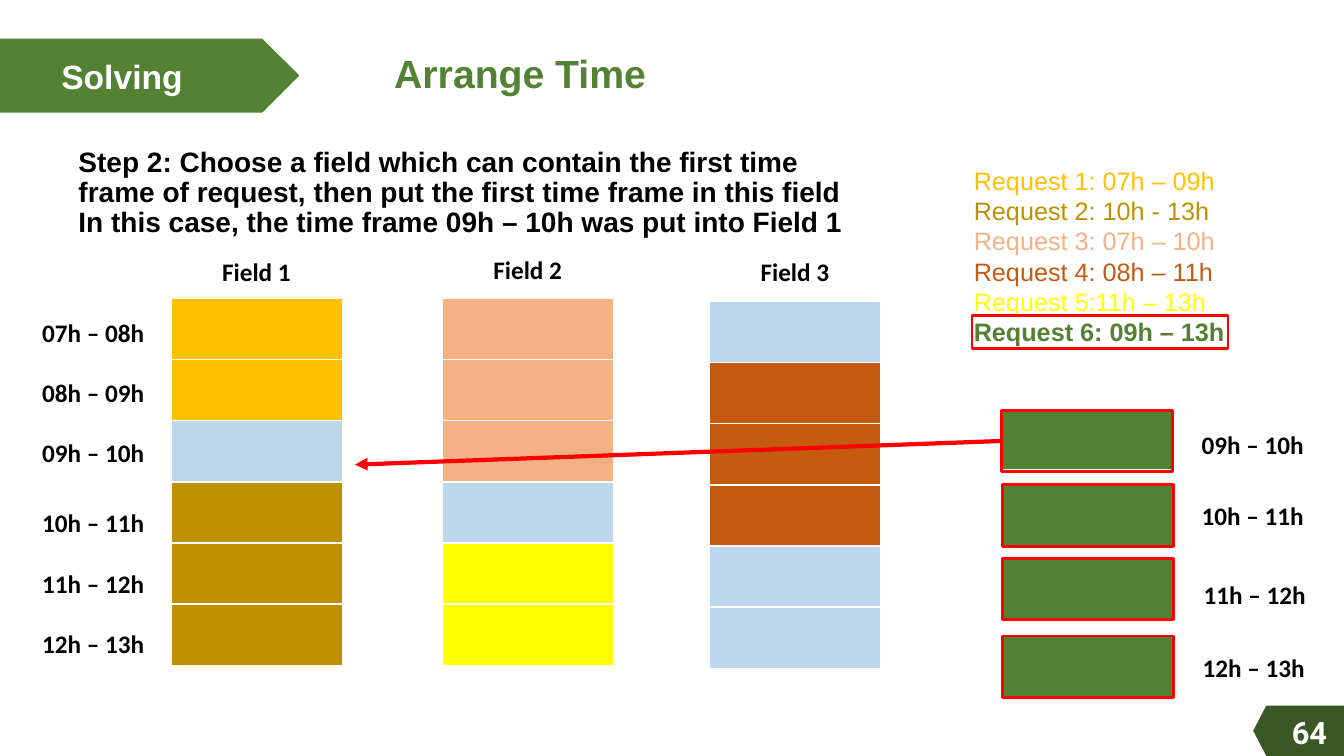
from lxml import etree
from pptx import Presentation
from pptx.dml.color import RGBColor as RGB
from pptx.enum.shapes import MSO_CONNECTOR as LINK, MSO_SHAPE as SHAPE
from pptx.enum.text import MSO_ANCHOR as ANCHOR, PP_ALIGN as ALIGN
from pptx.oxml.ns import qn
from pptx.util import Inches, Pt

WHITE = RGB(0xFF, 0xFF, 0xFF)
BLACK = RGB(0, 0, 0)
RED = RGB(0xFF, 0, 0)
GREEN = RGB(0x54, 0x82, 0x35)
DARK_GREEN = RGB(0x38, 0x57, 0x23)
AMBER = RGB(0xFF, 0xC0, 0)
GOLD = RGB(0xBF, 0x90, 0)
PEACH = RGB(0xF4, 0xB1, 0x83)
RUST = RGB(0xC5, 0x5A, 0x11)
YELLOW = RGB(0xFF, 0xFF, 0)
FREE = RGB(0xBD, 0xD7, 0xEE)

SECTION = "Solving"
TITLE = "Arrange Time"
STEP = ("Step 2: Choose a field which can contain the first time frame of request, "
        "then put the first time frame in this field\v"
        "In this case, the time frame 09h – 10h was put into Field 1")
PAGE = "64"
FIELDS = [
    ("Field 1", 1.7, 2.96, 2.49, [AMBER, AMBER, FREE, GOLD, GOLD, GOLD]),
    ("Field 2", 4.39, 2.96, 2.47, [PEACH, PEACH, PEACH, FREE, YELLOW, YELLOW]),
    ("Field 3", 7.04, 2.99, 2.49, [FREE, RUST, RUST, RUST, FREE, FREE]),
]
HOURS = [("07h – 08h", 3.1), ("08h – 09h", 3.69), ("09h – 10h", 4.29),
         ("10h – 11h", 4.98), ("11h – 12h", 5.59), ("12h – 13h", 6.18)]
REQUESTS = [
    ("Request 1: 07h – 09h", AMBER),
    ("Request 2: 10h - 13h", GOLD),
    ("Request 3: 07h – 10h", PEACH),
    ("Request 4: 08h – 11h", RUST),
    ("Request 5:11h – 13h", YELLOW),
    ("Request 6: 09h – 13h", GREEN),
]
PENDING = [("09h – 10h", 9.93, 4.07, 11.82, 4.21), ("10h – 11h", 9.94, 4.81, 11.82, 4.91),
           ("11h – 12h", 9.94, 5.54, 11.84, 5.7), ("12h – 13h", 9.94, 6.31, 11.83, 6.42)]

CELL_W, CELL_H = 1.7, 0.61
ROW_PITCH = 3.64 / 6
PENDING_LEFT, PENDING_TOP, PENDING_PITCH = 9.93, 4.05, 0.75
LABEL_W, LABEL_H = 1.23, 0.4
FIELD_LABEL_W = 0.89
ARROW_TIP = (3.52, 4.61)
BADGE = [(12.56, 7), (13.33, 7), (13.33, 7.5), (12.56, 7.5), (12.43, 7.25)]

prs = Presentation()
prs.slide_width, prs.slide_height = Inches(13.33), Inches(7.5)
slide = prs.slides.add_slide(prs.slide_layouts[5])
shapes = slide.shapes


def box(left, top, width, height):
    return [Inches(v) for v in (left, top, width, height)]


def style(paragraph, size, color, font="Arial", bold=True):
    paragraph.font.name, paragraph.font.size = font, Pt(size)
    paragraph.font.bold, paragraph.font.color.rgb = bold, color


def block(area, fill=None, line=WHITE, weight=1, preset=SHAPE.RECTANGLE):
    part = shapes.add_shape(preset, *box(*area))
    part.shadow.inherit = False
    if fill is None:
        part.fill.background()
    else:
        part.fill.solid()
        part.fill.fore_color.rgb = fill
    part.line.color.rgb, part.line.width = line, Pt(weight)
    return part


def write(area, words, size, color, font="Arial", wrap=True):
    frame = shapes.add_textbox(*box(*area)).text_frame
    frame.word_wrap = wrap
    frame.text = words
    style(frame.paragraphs[0], size, color, font)
    return frame


def label(left, top, words, width=LABEL_W):
    write((left, top, width, LABEL_H), words, 18, BLACK, "Calibri", False)


def centre_lines(frame):
    frame.vertical_anchor = ANCHOR.MIDDLE
    frame.paragraphs[0].line_spacing = 0.9


title = shapes.title
title.left, title.top, title.width, title.height = box(3.81, 0.29, 3.27, 0.93)
title.text_frame.text = TITLE
centre_lines(title.text_frame)
title.text_frame.paragraphs[0].alignment = ALIGN.LEFT
style(title.text_frame.paragraphs[0], 28, GREEN)

block((0, 0.39, 2.96, 0.72), GREEN, GREEN, preset=SHAPE.PENTAGON)
centre_lines(write((0.51, 0.28, 2.85, 0.99), SECTION, 24, WHITE))

for name, left, top, name_top, slots in FIELDS:
    for row, color in enumerate(slots):
        block((left, top + row * ROW_PITCH, CELL_W, CELL_H), color)
    label(left + (CELL_W - FIELD_LABEL_W) / 2, name_top, name, FIELD_LABEL_W)
for hours, top in HOURS:
    label(0.32, top, hours)

frames = []
for row, (hours, left, top, label_left, label_top) in enumerate(PENDING):
    block((PENDING_LEFT, PENDING_TOP + row * PENDING_PITCH, CELL_W, CELL_H), GREEN)
    frames.append(block((left, top, CELL_W, CELL_H), line=RED, weight=2))
    label(label_left, label_top, hours)

tip_x, tip_y = (Inches(v) for v in ARROW_TIP)
arrow = shapes.add_connector(LINK.STRAIGHT, tip_x, tip_y, tip_x, tip_y)
arrow.begin_connect(frames[0], 1)
arrow.end_x, arrow.end_y = tip_x, tip_y
arrow.line.color.rgb, arrow.line.width = RED, Pt(3)
etree.SubElement(arrow.line._get_or_add_ln(), qn("a:tailEnd"), type="triangle")
etree.SubElement(arrow._element.spPr, qn("a:effectLst"))

centre_lines(write((0.68, 1.16, 7.83, 1.52), STEP, 20, BLACK))

requests = shapes.add_textbox(*box(9.56, 1.59, 2.71, 1.92)).text_frame
requests.word_wrap = False
requests.text = "\n".join(words for words, _ in REQUESTS)
for paragraph, (_, color) in zip(requests.paragraphs, REQUESTS):
    style(paragraph, 18, color, bold=color == GREEN)
block((9.64, 3.13, 2.54, 0.33), line=RED, weight=2)

corners = [(Inches(x), Inches(y)) for x, y in BADGE]
outline = shapes.build_freeform(*corners[0])
outline.add_line_segments(corners[1:], close=True)
badge = outline.convert_to_shape()
badge.shadow.inherit = False
badge.fill.solid()
badge.fill.fore_color.rgb = DARK_GREEN
badge.line.fill.background()
page = write((12.65, 7.03, 0.61, 0.47), PAGE, 22, WHITE, "Roboto")
page.paragraphs[0].alignment = ALIGN.RIGHT

prs.save("out.pptx")
